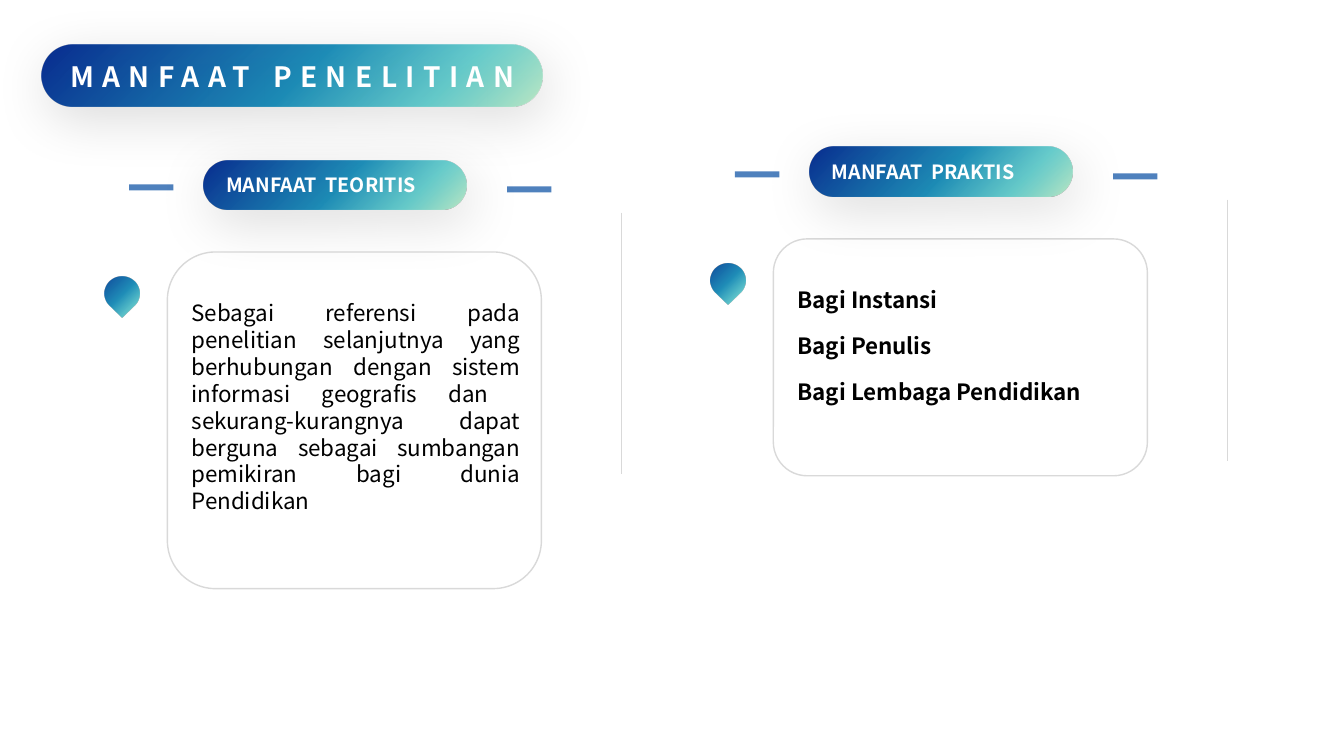
from lxml import etree
from pptx import Presentation
from pptx.dml.color import RGBColor
from pptx.enum.shapes import MSO_CONNECTOR, MSO_SHAPE
from pptx.enum.text import MSO_ANCHOR, MSO_AUTO_SIZE, PP_ALIGN
from pptx.oxml.ns import qn
from pptx.util import Inches, Pt

ROUND = MSO_SHAPE.ROUNDED_RECTANGLE
RECT = MSO_SHAPE.RECTANGLE
DROP = MSO_SHAPE.TEAR
LINE = MSO_CONNECTOR.STRAIGHT
CENTER, JUSTIFY = PP_ALIGN.CENTER, PP_ALIGN.JUSTIFY
MIDDLE, TOP = MSO_ANCHOR.MIDDLE, MSO_ANCHOR.TOP
FIXED = MSO_AUTO_SIZE.NONE

FONT = "Noto Sans CJK SC"
COLORS = {"white": "FFFFFF", "black": "000000", "gray": "D9D9D9", "blue": "4F81BD"}
# Position, colour and opacity, all positions and opacities in percent
STOPS = [(0, "00248B", 96), (52, "0681B0", 89), (79, "45C2C2", 80), (100, "BDE8C2", 96)]


def color(name):
    return RGBColor.from_string(COLORS[name])


def add(parent, tag, **attrs):
    node = etree.SubElement(parent, qn(tag))
    for key, value in attrs.items():
        node.set(key, str(value))
    return node


def tint(parent, value, alpha):
    """Add a colour with its opacity in percent."""
    node = add(parent, "a:srgbClr", val=value)
    add(node, "a:alpha", val=alpha * 1000)


def blend(shape):
    """Fill a shape with the radial blue to green gradient."""
    grad = etree.Element(qn("a:gradFill"), rotWithShape="0")
    stops = add(grad, "a:gsLst")
    for pos, value, alpha in STOPS:
        tint(add(stops, "a:gs", pos=pos * 1000), value, alpha)
    path = add(grad, "a:path", path="circle")
    add(path, "a:fillToRect", r=100000, b=100000)
    shape._element.spPr.find(qn("a:prstGeom")).addnext(grad)


def glow(shape):
    """Give a shape its wide, soft shadow."""
    effects = shape._element.spPr.find(qn("a:effectLst"))
    shade = add(effects, "a:outerShdw", blurRad=Pt(40), dist=Pt(10),
                dir=70 * 60000, algn="t", rotWithShape=0)
    tint(shade, COLORS["black"], 15)


def draw(slide, kind, box, fill=None, edge=None, adj=None):
    shape = slide.shapes.add_shape(kind, *map(Inches, box))
    shape.shadow.inherit = False
    if adj is not None:
        shape.adjustments[0] = adj
    if fill:
        shape.fill.solid()
        shape.fill.fore_color.rgb = color(fill)
    else:
        blend(shape)
    if edge:
        shape.line.color.rgb = color(edge)
        shape.line.width = Pt(1)
    else:
        shape.line.fill.background()
    return shape


def pill(slide, box):
    shape = draw(slide, ROUND, box, adj=0.5)
    glow(shape)
    return shape


def rule(slide, x, top, end):
    line = slide.shapes.add_connector(LINE, *map(Inches, (x, top, x, end)))
    line.line.color.rgb = color("gray")
    line.line.width = Pt(0.25)
    add(line._element.spPr, "a:effectLst")


def write(shape, *texts, size=16, ink="black", bold=False, align=JUSTIFY,
          anchor=TOP, left=0, gap=0, track=0, wrap=True):
    """Write one paragraph for each text."""
    frame = shape.text_frame
    frame.auto_size = FIXED
    frame.word_wrap = wrap
    frame.vertical_anchor = anchor
    frame.margin_left = Inches(left)
    frame.margin_top = frame.margin_right = frame.margin_bottom = 0
    for i, text in enumerate(texts):
        para = frame.paragraphs[0] if i == 0 else frame.add_paragraph()
        props = para._p.get_or_add_pPr()
        props.set("marL", "0")
        props.set("indent", "0")
        add(props, "a:buNone")
        para.alignment = align
        para.space_before = Pt(gap if i else 0)
        run = para.add_run()
        run.text = text
        run.font.name = FONT
        run.font.size = Pt(size)
        run.font.bold = bold
        run.font.color.rgb = color(ink)
        if track:
            run._r.get_or_add_rPr().set("spc", str(track * 100))


def place(slide, holder, box):
    """Move a placeholder to its box and to the front."""
    holder.left, holder.top, holder.width, holder.height = map(Inches, box)
    slide.shapes._spTree.append(holder._element)


def panel(slide, holder, x, y, high, head, *texts, **style):
    """Draw one benefit: heading, card, marker and text."""
    draw(slide, ROUND, (x + 1.66, y + 2.5, 3.71, high), "white", "gray", 0.143)
    rule(slide, x + 6.16, y + 2.11, y + 4.7)
    for left, top in ((1.28, 1.83), (5.03, 1.85)):
        draw(slide, RECT, (x + left, y + top, 0.44, 0.06), "blue")
    label = pill(slide, (x + 2.02, y + 1.59, 2.61, 0.49))
    write(label, head, size=14, ink="white", bold=True, anchor=MIDDLE, left=0.15)
    draw(slide, DROP, (x + 1.04, y + 2.74, 0.34, 0.34)).rotation = 135
    place(slide, holder, (x + 1.9, y + 2.97, 3.26, high - 1.19))
    write(holder, *texts, **style)


def main():
    deck = Presentation()
    deck.slide_width, deck.slide_height = Inches(13.33), Inches(7.5)
    slide = deck.slides.add_slide(deck.slide_layouts[3])
    title, theory, usage = slide.placeholders

    pill(slide, (0.41, 0.44, 4.97, 0.62))
    place(slide, title, (0.52, 0.59, 4.76, 0.34))
    write(title, "MANFAAT PENELITIAN", size=20, ink="white", bold=True,
          align=CENTER, anchor=MIDDLE, track=6, wrap=False)

    panel(slide, theory, 0, 0, 3.34, "MANFAAT  TEORITIS",
          "Sebagai referensi pada penelitian selanjutnya yang berhubungan "
          "dengan sistem informasi geografis dan  sekurang-kurangnya dapat "
          "berguna sebagai sumbangan pemikiran bagi dunia Pendidikan")
    panel(slide, usage, 6.01, -0.13, 2.35, "MANFAAT  PRAKTIS",
          "Bagi Instansi", "Bagi Penulis", "Bagi Lembaga Pendidikan",
          bold=True, gap=13.5)
    deck.save("out.pptx")


if __name__ == "__main__":
    main()
